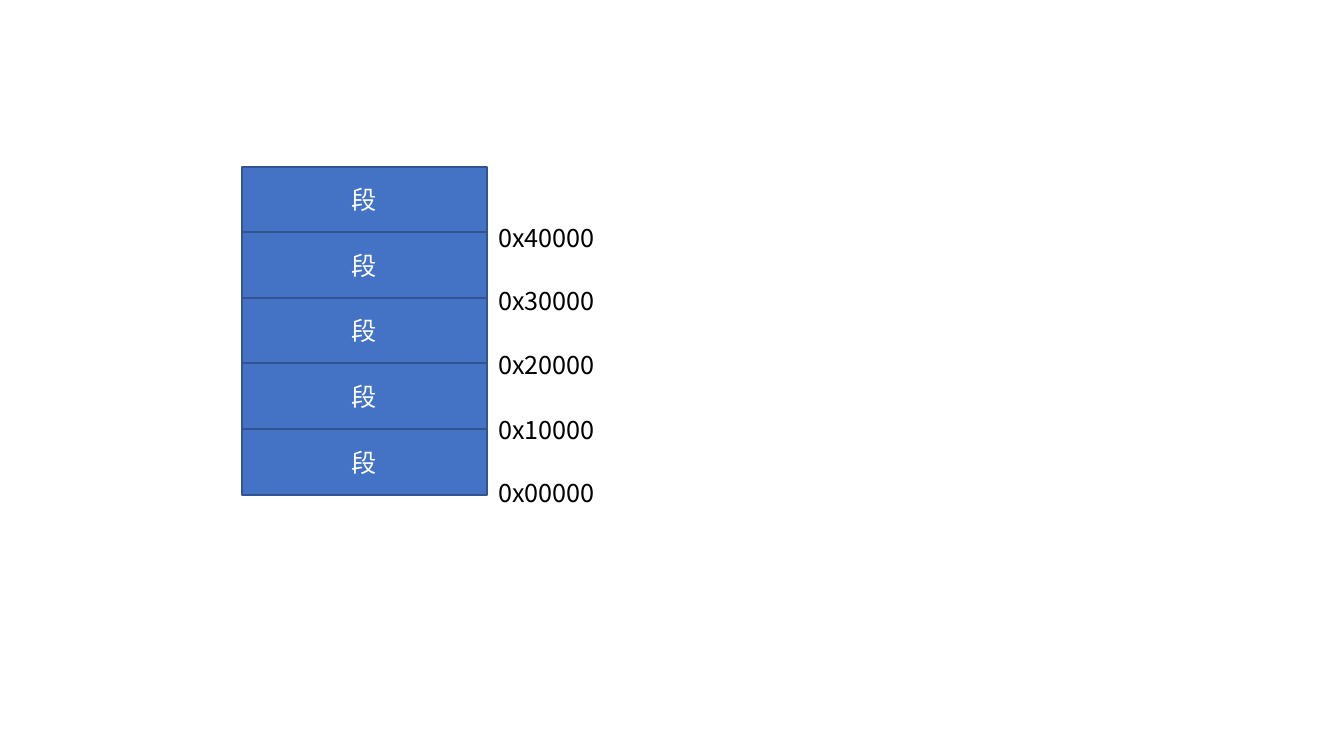
from lxml import etree
from pptx import Presentation
from pptx import util as u
from pptx.dml.color import RGBColor
from pptx.enum import shapes, text
from pptx.oxml.ns import qn

EMU_PER_PIXEL = 914400 / 100.8
FONT = "Noto Sans CJK SC"

# Memory stack, in pixels
STACK_LEFT, STACK_TOP, STACK_WIDTH, STACK_HEIGHT = 242, 167, 245, 328
SEGMENT_COUNT = 5

# Address labels: text and top edge, from the lowest address up
ADDRESS_LEFT, ADDRESS_WIDTH, ADDRESS_HEIGHT = 488, 154, 40
ADDRESSES = [
    ("0x00000", 472),
    ("0x10000", 409),
    ("0x20000", 344),
    ("0x30000", 280),
    ("0x40000", 217),
]


def px(*lengths):
    return [u.Emu(round(length * EMU_PER_PIXEL)) for length in lengths]


def colour(hex_value):
    return RGBColor.from_string(hex_value)


def write(frame, words, hex_value, align):
    paragraph = frame.paragraphs[0]
    paragraph.text = words
    paragraph.alignment = align
    font = paragraph.font
    font.name = FONT
    font.size = u.Pt(18)
    font.color.rgb = colour(hex_value)
    # East Asian characters take their own typeface
    latin = paragraph._p.pPr.find(qn("a:defRPr")).find(qn("a:latin"))
    east_asian = etree.Element(qn("a:ea"), typeface=FONT)
    latin.addnext(east_asian)


def add_segment(slide, top, height):
    segment = slide.shapes.add_shape(
        shapes.MSO_SHAPE.RECTANGLE, *px(STACK_LEFT, top, STACK_WIDTH, height))
    segment.shadow.inherit = False
    segment.fill.solid()
    segment.fill.fore_color.rgb = colour("4472C4")
    segment.line.color.rgb = colour("325491")
    segment.line.width = u.Pt(1)
    segment.text_frame.vertical_anchor = text.MSO_ANCHOR.MIDDLE
    write(segment.text_frame, "段", "FFFFFF", text.PP_ALIGN.CENTER)


def add_address(slide, address, top):
    label = slide.shapes.add_textbox(
        *px(ADDRESS_LEFT, top, ADDRESS_WIDTH, ADDRESS_HEIGHT))
    label.text_frame.word_wrap = True
    label.text_frame.auto_size = text.MSO_AUTO_SIZE.SHAPE_TO_FIT_TEXT
    write(label.text_frame, address, "000000", text.PP_ALIGN.LEFT)


def main():
    deck = Presentation()
    deck.slide_width, deck.slide_height = u.Inches(13.33), u.Inches(7.5)
    slide = deck.slides.add_slide(deck.slide_layouts[6])

    # Equal segments, from the bottom of the stack up
    edges = [STACK_TOP + i * STACK_HEIGHT // SEGMENT_COUNT
             for i in range(SEGMENT_COUNT + 1)]
    for i in reversed(range(SEGMENT_COUNT)):
        add_segment(slide, edges[i], edges[i + 1] - edges[i])

    # Start address of each segment
    for address, top in ADDRESSES:
        add_address(slide, address, top)

    deck.save("out.pptx")


main()
